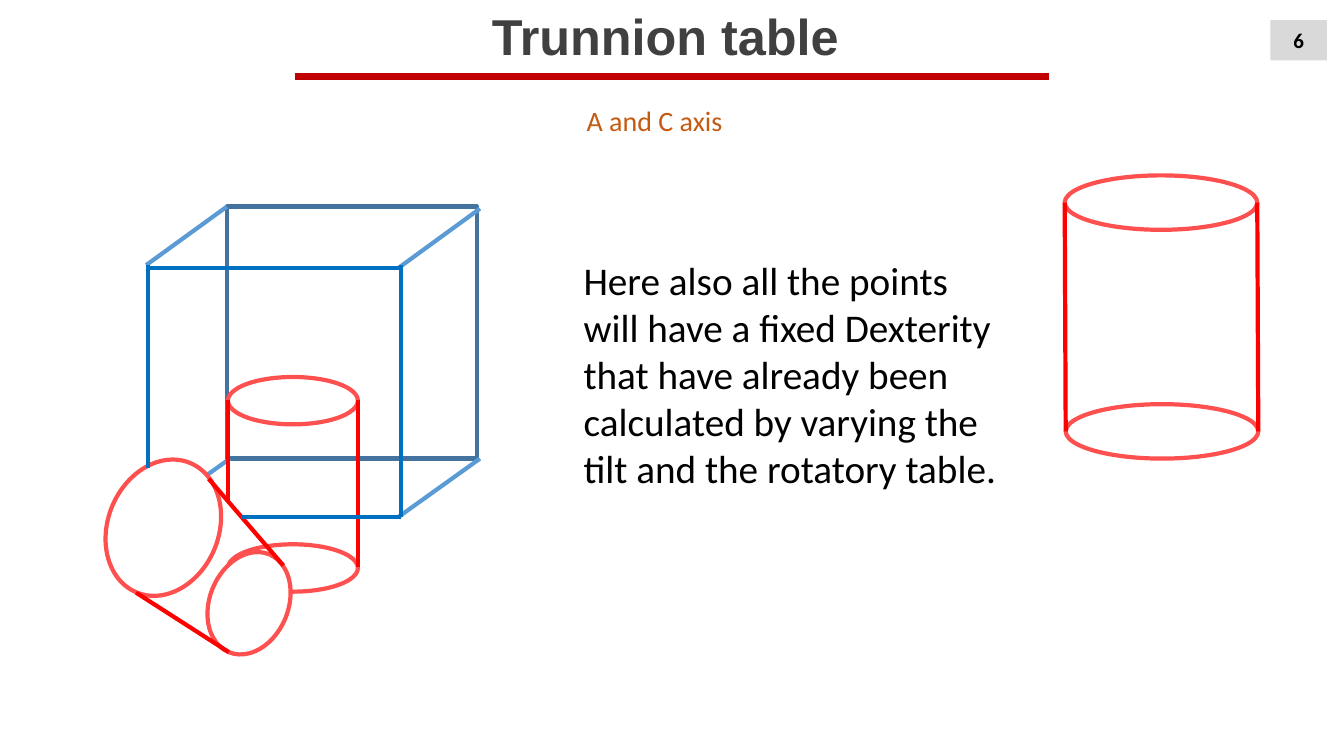
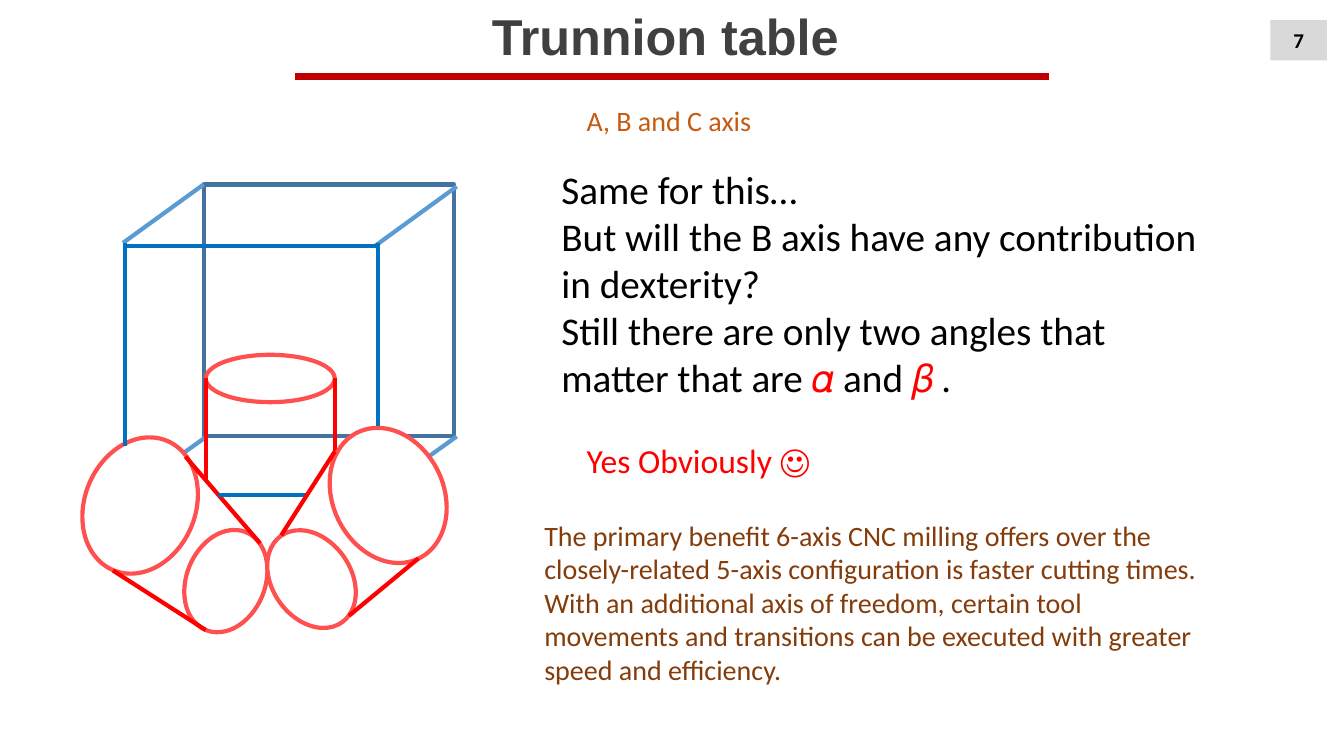
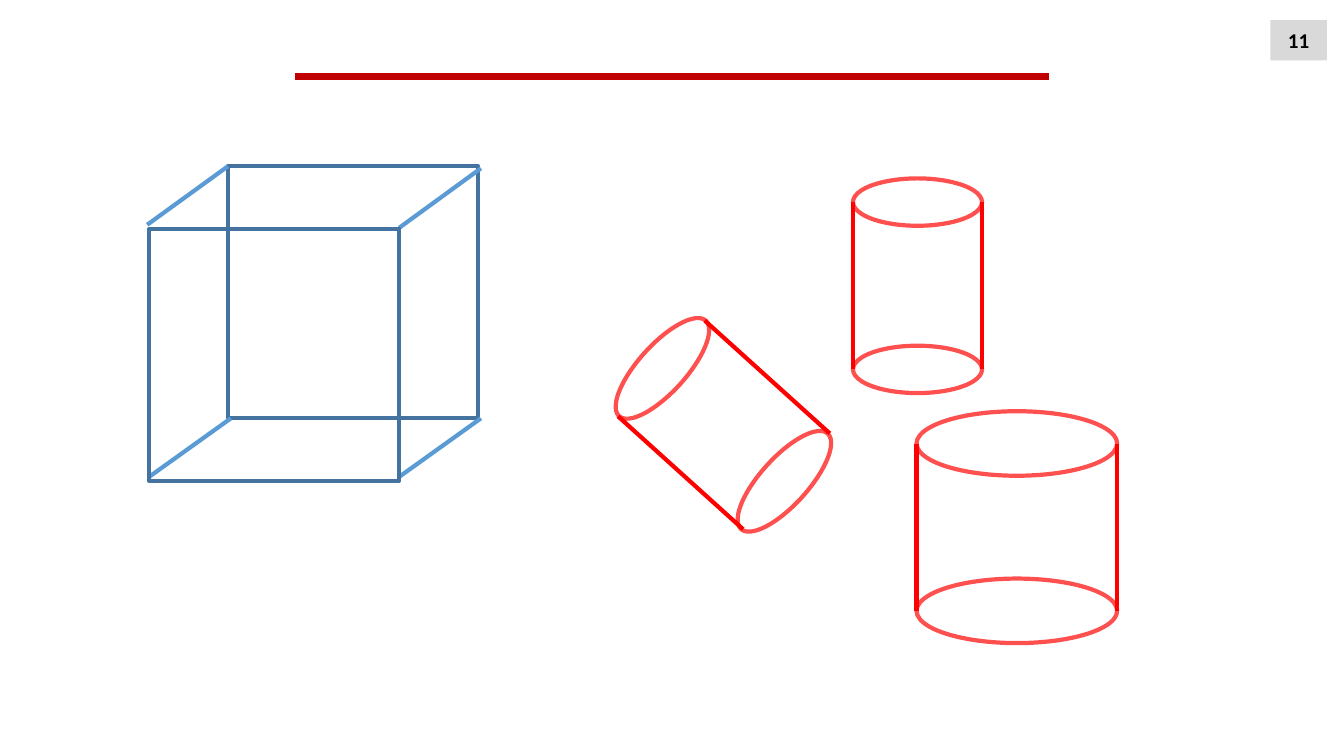
from dataclasses import dataclass, replace
from typing import Optional

from lxml import etree
from pptx import Presentation
from pptx.dml.color import RGBColor
from pptx.enum.shapes import MSO_CONNECTOR, MSO_SHAPE
from pptx.enum.text import MSO_ANCHOR, MSO_AUTO_SIZE, PP_ALIGN
from pptx.oxml.ns import qn
from pptx.shapes.autoshape import Shape
from pptx.slide import Slide
from pptx.util import Emu, Pt

RECTANGLE = MSO_SHAPE.RECTANGLE
ELLIPSE = MSO_SHAPE.OVAL
STRAIGHT = MSO_CONNECTOR.STRAIGHT
MIDDLE = MSO_ANCHOR.MIDDLE
FIT_SHAPE = MSO_AUTO_SIZE.SHAPE_TO_FIT_TEXT
LEFT = PP_ALIGN.LEFT
CENTER = PP_ALIGN.CENTER

EMU_PER_PX = 9144
SLIDE_WIDTH, SLIDE_HEIGHT = 1333, 750
BLANK_LAYOUT = 6

BLACK = "000000"
WHITE = "FFFFFF"
TITLE_GREY = "404040"
NUMBER_GREY = "D9D9D9"
RULE_RED = "C00000"
RED = "FF0000"
RIM_RED = "FF5050"
BACK_BLUE = "43739E"
EDGE_BLUE = "5B9BD5"
FRONT_BLUE = "0070C0"
ORANGE = "C55A11"
BROWN = "843C0B"

TITLE_FORMAT = {"name": "Arial", "size": Pt(36), "bold": True}
NUMBER_FORMAT = {"name": "Calibri", "size": Pt(15), "bold": True}
BODY_FORMAT = {"name": "Calibri", "size": Pt(28)}
ANSWER_FORMAT = {"name": "Calibri", "size": Pt(24)}
SMALL_FORMAT = {"name": "Calibri", "size": Pt(20)}

CUBE_WIDTH, CUBE_HEIGHT = 248, 250


@dataclass(frozen=True)
class Box:
    left: int
    top: int
    width: int
    height: int
    rotation: float = 0
    fill: Optional[str] = None

    def moved(self, right: int, down: int) -> "Box":
        return replace(self, left=self.left + right, top=self.top + down)


@dataclass(frozen=True)
class Segment:
    x1: int
    y1: int
    x2: int
    y2: int

    def moved(self, right: int, down: int) -> "Segment":
        return Segment(self.x1 + right, self.y1 + down, self.x2 + right, self.y2 + down)


@dataclass(frozen=True)
class Cylinder:
    top_rim: Box
    height: int
    lean: int = 0
    left_side: Optional[int] = None
    right_side: Optional[int] = None
    has_base: bool = True


@dataclass(frozen=True)
class TiltedCylinder:
    rims: tuple[Box, ...]
    sides: tuple[Segment, ...]

    def moved(self, right: int, down: int) -> "TiltedCylinder":
        return TiltedCylinder(
            tuple(rim.moved(right, down) for rim in self.rims),
            tuple(side.moved(right, down) for side in self.sides),
        )


@dataclass(frozen=True)
class Run:
    text: str
    color: str
    bold: bool = False
    italic: bool = False


RULE = Segment(293, 76, 1040, 76)
TITLE_BOX = Box(476, 0, 382, 71)
NUMBER_BOX = Box(1260, 20, 56, 40, fill=NUMBER_GREY)
DEPTH_EDGES = (
    Segment(-80, 58, 0, 0),
    Segment(170, 61, 251, 2),
    Segment(-78, 308, 3, 250),
    Segment(170, 308, 251, 250),
)
LEFT_TRUNNION = TiltedCylinder(
    (Box(-118, 249, 110, 139, 22.3, WHITE), Box(-17, 341, 78, 105, 22.3, WHITE)),
    (Segment(-18, 270, 56, 356), Segment(-90, 383, 2, 442)),
)
RIGHT_TRUNNION = TiltedCylinder(
    (Box(330, 422, 110, 139, 334.3, WHITE), Box(270, 522, 78, 105, 325, WHITE)),
    (Segment(332, 448, 279, 531), Segment(415, 554, 346, 611)),
)
LOOSE_CYLINDER = TiltedCylinder(
    (Box(593, 342, 128, 47, 312.2), Box(714, 454, 128, 47, 312.2)),
    (Segment(613, 413, 737, 525), Segment(699, 318, 823, 430)),
)


def px(length: int) -> Emu:
    return Emu(length * EMU_PER_PX)


def rgb(color: str) -> RGBColor:
    return RGBColor.from_string(color)


def add_outline(
    slide: Slide, kind: MSO_SHAPE, box: Box, line_color: Optional[str] = None
) -> Shape:
    shape = slide.shapes.add_shape(
        kind, px(box.left), px(box.top), px(box.width), px(box.height)
    )
    shape.shadow.inherit = False
    shape.rotation = box.rotation
    if box.fill:
        shape.fill.solid()
        shape.fill.fore_color.rgb = rgb(box.fill)
    else:
        shape.fill.background()
    if line_color:
        shape.line.color.rgb = rgb(line_color)
        shape.line.width = Pt(3)
    else:
        shape.line.fill.background()
    return shape


def add_line(slide: Slide, segment: Segment, color: str, width: float = 3) -> None:
    connector = slide.shapes.add_connector(
        STRAIGHT, px(segment.x1), px(segment.y1), px(segment.x2), px(segment.y2)
    )
    connector.line.color.rgb = rgb(color)
    connector.line.width = Pt(width)
    etree.SubElement(connector._element.spPr, qn("a:effectLst"))


def write_text(
    shape: Shape, paragraphs: list[list[Run]], font_format: dict, alignment: PP_ALIGN
) -> None:
    frame = shape.text_frame
    for index, runs in enumerate(paragraphs):
        paragraph = frame.add_paragraph() if index else frame.paragraphs[0]
        paragraph.alignment = alignment
        for item in runs:
            run = paragraph.add_run()
            run.text = item.text
            values = {"bold": item.bold, "italic": item.italic, **font_format}
            for name, value in values.items():
                setattr(run.font, name, value)
            run.font.color.rgb = rgb(item.color)


def add_text(
    slide: Slide,
    box: Box,
    paragraphs: list[list[Run]],
    font_format: dict,
    alignment: PP_ALIGN = LEFT,
    wrap: bool = True,
) -> None:
    shape = slide.shapes.add_textbox(
        px(box.left), px(box.top), px(box.width), px(box.height)
    )
    shape.text_frame.word_wrap = wrap
    shape.text_frame.auto_size = FIT_SHAPE
    write_text(shape, paragraphs, font_format, alignment)


def add_base_slide(presentation: Presentation, number: int) -> Slide:
    slide = presentation.slides.add_slide(presentation.slide_layouts[BLANK_LAYOUT])
    add_line(slide, RULE, RULE_RED, 4.5)
    number_shape = add_outline(slide, RECTANGLE, NUMBER_BOX)
    number_shape.text_frame.vertical_anchor = MIDDLE
    write_text(number_shape, [[Run(str(number), BLACK)]], NUMBER_FORMAT, CENTER)
    return slide


def add_heading(slide: Slide, subtitle: str, subtitle_width: int) -> None:
    title = [[Run("Trunnion table ", TITLE_GREY)]]
    add_text(slide, TITLE_BOX, title, TITLE_FORMAT, CENTER, wrap=False)
    subtitle_box = Box(572, 98, subtitle_width, 44)
    add_text(slide, subtitle_box, [[Run(subtitle, ORANGE)]], SMALL_FORMAT, wrap=False)


def draw_cube_back(slide: Slide, left: int, top: int) -> None:
    add_outline(slide, RECTANGLE, Box(left, top, CUBE_WIDTH, CUBE_HEIGHT), BACK_BLUE)
    for edge in DEPTH_EDGES:
        add_line(slide, edge.moved(left, top), EDGE_BLUE)


def draw_cube_front(slide: Slide, left: int, top: int, bottom_end: int) -> None:
    edges = (
        Segment(173, 58, 173, 308),
        Segment(-78, 58, -78, 259),
        Segment(14, 308, bottom_end, 308),
        Segment(-78, 61, 173, 61),
    )
    for edge in edges:
        add_line(slide, edge.moved(left, top), FRONT_BLUE)


def draw_cylinder(slide: Slide, cylinder: Cylinder) -> None:
    rim = cylinder.top_rim
    add_outline(slide, ELLIPSE, rim, RIM_RED)
    if cylinder.has_base:
        add_outline(slide, ELLIPSE, rim.moved(cylinder.lean, cylinder.height), RIM_RED)
    middle = rim.top + rim.height // 2
    sides = ((rim.left, cylinder.left_side), (rim.left + rim.width, cylinder.right_side))
    for x, length in sides:
        bottom = middle + (length or cylinder.height)
        add_line(slide, Segment(x, middle, x + cylinder.lean, bottom), RED)


def draw_tilted(slide: Slide, cylinder: TiltedCylinder) -> None:
    for rim in cylinder.rims:
        add_outline(slide, ELLIPSE, rim, RIM_RED)
    for side in cylinder.sides:
        add_line(slide, side, RED)


def draw_trunnion_table(
    slide: Slide, left: int, top: int, table: Cylinder, bottom_end: int
) -> None:
    draw_cube_back(slide, left, top)
    rim = table.top_rim.moved(left, top)
    draw_cylinder(slide, replace(table, top_rim=rim))
    draw_tilted(slide, LEFT_TRUNNION.moved(left, top))
    draw_cube_front(slide, left, top, bottom_end)


def build_two_axis_slide(presentation: Presentation) -> None:
    slide = add_base_slide(presentation, 6)
    add_heading(slide, "A and C axis", 174)
    table = Cylinder(Box(1, 169, 129, 47), 166, left_side=100)
    draw_trunnion_table(slide, 225, 205, table, 173)
    draw_cylinder(slide, Cylinder(Box(1056, 174, 191, 54), 227, lean=1))
    body = (
        "Here also all the points will have a fixed Dexterity that have already "
        "been calculated by varying the tilt and the rotatory table."
    )
    add_text(slide, Box(569, 249, 430, 246), [[Run(body, BLACK)]], BODY_FORMAT)


def build_three_axis_slide(presentation: Presentation) -> None:
    slide = add_base_slide(presentation, 7)
    add_heading(slide, "A, B and C axis", 206)
    table = Cylinder(
        Box(2, 169, 128, 47), 166, left_side=100, right_side=75, has_base=False
    )
    draw_trunnion_table(slide, 202, 183, table, 103)
    draw_tilted(slide, RIGHT_TRUNNION)
    question = [
        [Run("Same for this…", BLACK)],
        [Run("But will the B axis have any contribution in dexterity?", BLACK)],
        [
            Run("Still there are only two angles that matter that are ", BLACK),
            Run("𝛼 ", RED, bold=True),
            Run("and ", BLACK),
            Run("𝛽", RED, bold=True),
            Run(" .", BLACK, italic=True),
        ],
    ]
    benefit = (
        "The primary benefit 6-axis CNC milling offers over the closely-related "
        "5-axis configuration is faster cutting times. With an additional axis of "
        "freedom, certain tool movements and transitions can be executed with "
        "greater speed and efficiency."
    )
    add_text(slide, Box(547, 159, 667, 246), question, BODY_FORMAT)
    add_text(slide, Box(530, 509, 667, 178), [[Run(benefit, BROWN)]], SMALL_FORMAT)
    answer = [[Run("Yes Obviously ☺", RED)]]
    add_text(slide, Box(572, 432, 667, 50), answer, ANSWER_FORMAT)


def build_parts_slide(presentation: Presentation) -> None:
    slide = add_base_slide(presentation, 11)
    left, top = 226, 165
    draw_cube_back(slide, left, top)
    front = Box(left - 78, top + 62, CUBE_WIDTH, CUBE_HEIGHT)
    add_outline(slide, RECTANGLE, front, BACK_BLUE)
    draw_cylinder(slide, Cylinder(Box(846, 177, 128, 47), 166))
    draw_tilted(slide, LOOSE_CYLINDER)
    draw_cylinder(slide, Cylinder(Box(909, 408, 199, 64), 166))


def main() -> None:
    presentation = Presentation()
    presentation.slide_width = px(SLIDE_WIDTH)
    presentation.slide_height = px(SLIDE_HEIGHT)
    build_two_axis_slide(presentation)
    build_three_axis_slide(presentation)
    build_parts_slide(presentation)
    presentation.save("out.pptx")


if __name__ == "__main__":
    main()
